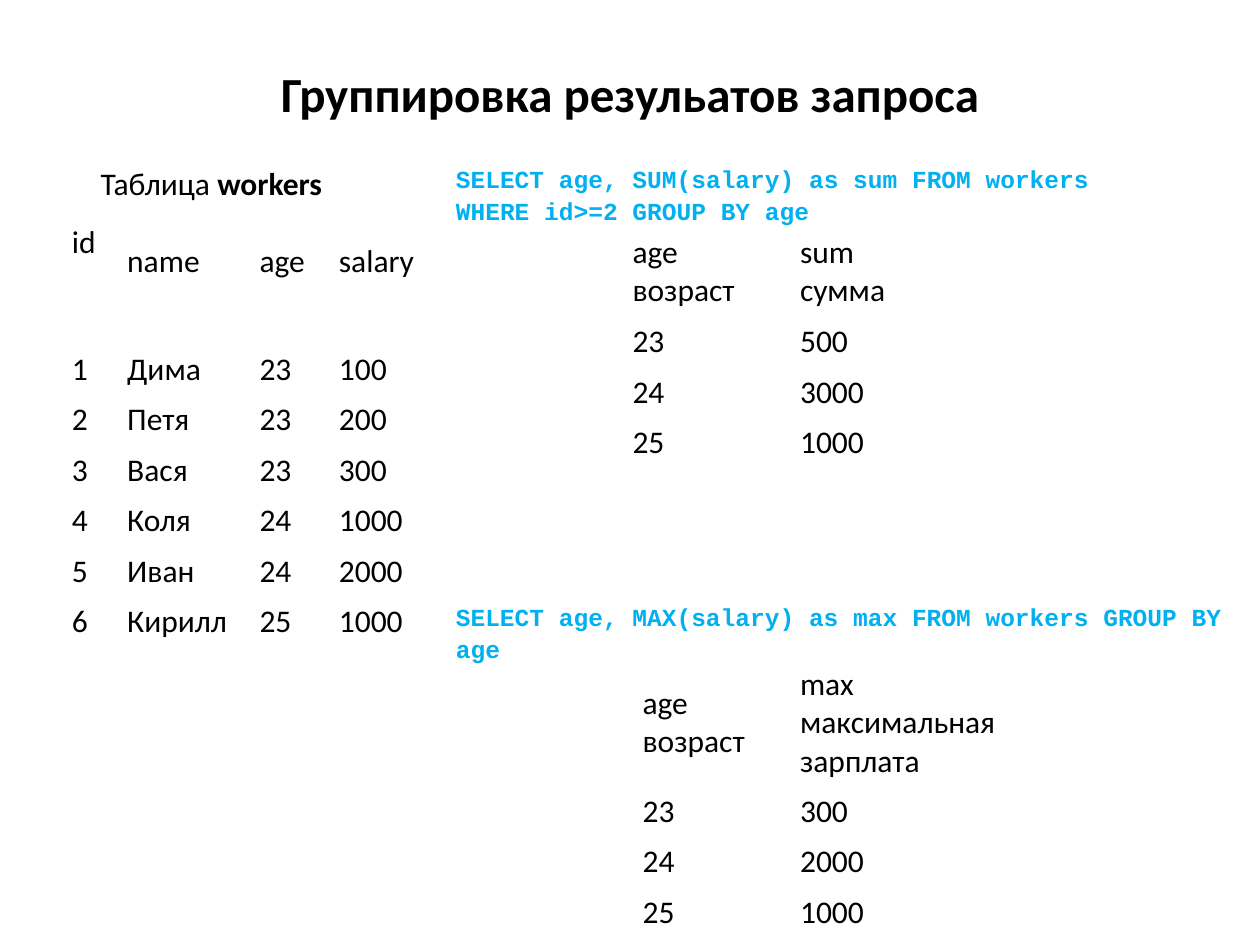
from dataclasses import dataclass

from pptx import Presentation
from pptx.dml.color import RGBColor
from pptx.enum.text import MSO_ANCHOR, PP_ALIGN
from pptx.util import Inches, Pt


@dataclass(frozen=True)
class Theme:
    body_font: str = "Calibri"
    code_font: str = "Courier New"
    title_size: Pt = Pt(28)
    body_size: Pt = Pt(18)
    code_size: Pt = Pt(14)
    text: RGBColor = RGBColor(0, 0, 0)
    code: RGBColor = RGBColor(0x00, 0xB0, 0xF0)


THEME = Theme()
ROW_H = 0.4
LINE_H = 0.3

WORKERS = [
    ("id", "name", "age", "salary"),
    (1, "Дима", 23, 100),
    (2, "Петя", 23, 200),
    (3, "Вася", 23, 300),
    (4, "Коля", 24, 1000),
    (5, "Иван", 24, 2000),
    (6, "Кирилл", 25, 1000),
]
SUMS = [("age \vвозраст", "sum \vсумма"), (23, 500), (24, 3000), (25, 1000)]
MAXIMA = [
    ("age \vвозраст", "max \vмаксимальная зарплата"),
    (23, 300), (24, 2000), (25, 1000),
]


def style(p, name, size, color, bold=None):
    p.font.name, p.font.size, p.font.bold = name, size, bold
    p.font.color.rgb = color


def add_title(s, box, text):
    title = s.shapes.title
    title.left, title.top, title.width, title.height = map(Inches, box)
    tf = title.text_frame
    tf.text = text
    tf.vertical_anchor = MSO_ANCHOR.MIDDLE
    p = tf.paragraphs[0]
    p.alignment = PP_ALIGN.CENTER
    style(p, THEME.body_font, THEME.title_size, THEME.text, True)


def add_caption(s, box, label, table_name):
    tf = s.shapes.add_textbox(*map(Inches, box)).text_frame
    tf.word_wrap = False
    p = tf.paragraphs[0]
    style(p, THEME.body_font, THEME.body_size, THEME.text)
    p.add_run().text = label
    r = p.add_run()
    r.text = table_name
    r.font.bold = True


def add_query(s, box, sql):
    tf = s.shapes.add_textbox(*map(Inches, box)).text_frame
    tf.word_wrap = True
    tf.vertical_anchor = MSO_ANCHOR.MIDDLE
    tf.text = sql
    for p in tf.paragraphs:
        p.line_spacing = 1.08
        style(p, THEME.code_font, THEME.code_size, THEME.code, True)


def add_plain_table(s, left, top, widths, header_h, rows):
    """Add a table without fills; returns the table."""
    height = header_h + ROW_H * (len(rows) - 1)
    box = map(Inches, (left, top, sum(widths), height))
    table = s.shapes.add_table(len(rows), len(widths), *box).table
    table.first_row = table.horz_banding = False
    for column, width in zip(table.columns, widths):
        column.width = Inches(width)
    for i, (row, values) in enumerate(zip(table.rows, rows)):
        row.height = Inches(ROW_H if i else header_h)
        for cell, value in zip(row.cells, values):
            cell.text = str(value)
            cell.fill.background()
            cell.vertical_anchor = MSO_ANCHOR.MIDDLE
            for p in cell.text_frame.paragraphs:
                style(p, THEME.body_font, THEME.body_size, THEME.text)
    return table


def add_workers(s, left, top):
    add_caption(s, (left + 0.23, top - 0.47, 1.97, 0.4), "Таблица ", "workers")
    table = add_plain_table(s, left, top, (0.44, 1.05, 0.63, 0.86), 1.01, WORKERS)
    id_cell, *other_cells = table.rows[0].cells
    id_cell.vertical_anchor = MSO_ANCHOR.TOP
    for cell in other_cells:
        cell.margin_bottom = Inches(0.05 + LINE_H)


def main():
    prs = Presentation()
    prs.slide_width, prs.slide_height = Inches(10), Inches(7.5)
    s = prs.slides.add_slide(prs.slide_layouts[5])
    add_title(s, (0.5, 0.3, 9, 0.87), "Группировка резульатов запроса")
    add_workers(s, 0.47, 1.72)
    add_query(s, (3.52, 1.25, 6.48, 0.57),
              "SELECT age, SUM(salary) as sum FROM workers\nWHERE id>=2 GROUP BY age")
    add_plain_table(s, 4.92, 1.8, (1.33, 1.48), 0.71, SUMS)
    add_query(s, (3.52, 4.84, 6.33, 0.34),
              "SELECT age, MAX(salary) as max FROM workers GROUP BY age")
    add_plain_table(s, 5, 5.23, (1.25, 2.03), 1.01, MAXIMA)
    prs.save("out.pptx")


if __name__ == "__main__":
    main()
